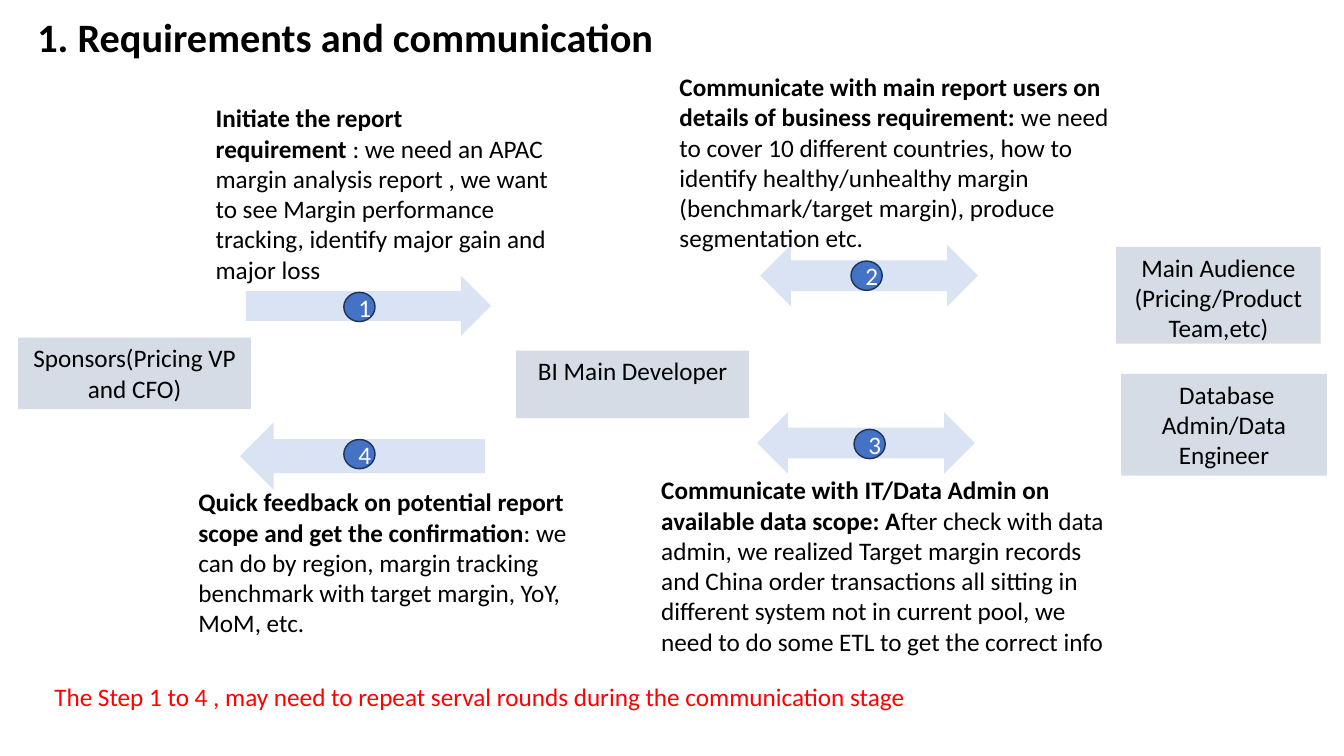
from typing import NamedTuple

from pptx import Presentation
from pptx import util as u
from pptx.dml.color import RGBColor
from pptx.enum import shapes, text

HUES = {"ink": "000000", "white": "FFFFFF", "red": "FF0000", "box": "D6DCE5",
        "arrow": "DAE3F3", "dot": "4472C4", "edge": "1E3256"}
KIND = shapes.MSO_SHAPE
LEFT, MID = text.PP_ALIGN.LEFT, text.PP_ALIGN.CENTER
TOP, HALF = text.MSO_ANCHOR.TOP, text.MSO_ANCHOR.MIDDLE
DOT_W, DOT_H = 0.31, 0.29


class Area(NamedTuple):
    x: float
    y: float
    w: float
    h: float


class Role(NamedTuple):
    area: Area
    label: str


class Step(NamedTuple):
    kind: KIND
    arrow: Area
    turn: int
    dot: tuple[float, float]
    note: Area
    head: str
    body: str


ROLES = [
    Role(Area(0.18, 3.35, 2.31, 0.71), "Sponsors(Pricing VP and CFO)"),
    Role(Area(5.12, 3.48, 2.31, 0.67), "BI Main Developer"),
    Role(Area(11.07, 2.45, 2.03, 0.96), "Main Audience (Pricing/Product Team,etc)"),
    Role(Area(11.12, 3.71, 2.04, 1.01), " Database Admin/Data Engineer"),
]

STEPS = [
    Step(KIND.RIGHT_ARROW, Area(2.44, 2.74, 2.43, 0.59), 0, (3.41, 2.9),
         Area(2.04, 0.97, 3.52, 1.83),
         "Initiate the report requirement ",
         ": we need an APAC margin analysis report , we want to see Margin "
         "performance tracking, identify major gain and major loss"),
    Step(KIND.LEFT_RIGHT_ARROW, Area(7.54, 2.43, 2.16, 0.61), 0, (8.44, 2.59),
         Area(6.64, 0.66, 4.62, 1.92),
         "Communicate with main report users on details of business requirement: ",
         "we need to cover 10 different countries, how to identify "
         "healthy/unhealthy margin (benchmark/target margin), produce "
         "segmentation etc."),
    Step(KIND.LEFT_RIGHT_ARROW, Area(7.51, 4.09, 2.16, 0.61), 0, (8.47, 4.26),
         Area(6.46, 4.66, 4.62, 1.92),
         "Communicate with IT/Data Admin on available data scope: A",
         "fter check with data admin, we realized Target margin records and "
         "China order transactions all sitting in different system not in "
         "current pool, we need to do some ETL to get the correct info"),
    Step(KIND.RIGHT_ARROW, Area(2.38, 4.19, 2.43, 0.67), 180, (3.41, 4.36),
         Area(1.87, 4.78, 3.86, 1.62),
         "Quick feedback on potential report scope and get the confirmation",
         ": we can do by region, margin tracking benchmark with target margin, "
         "YoY, MoM, etc."),
]


def hue(name: str) -> RGBColor:
    return RGBColor.from_string(HUES[name])


def spots(area: Area) -> list[u.Length]:
    return [u.Inches(v) for v in area]


def write(shape, runs: list[tuple[str, bool]], color: str = "ink",
          align=LEFT, anchor=TOP, size: float = 18) -> None:
    frame = shape.text_frame
    for key, val in {"word_wrap": True, "vertical_anchor": anchor}.items():
        setattr(frame, key, val)
    para = frame.paragraphs[0]
    para.alignment = align
    for words, bold in runs:
        run = para.add_run()
        run.text = words
        style = {"name": "Calibri", "size": u.Pt(size), "bold": bold}
        for key, val in style.items():
            setattr(run.font, key, val)
        run.font.color.rgb = hue(color)


def draw(slide, kind: KIND, area: Area, fill: str, edge: str = ""):
    shape = slide.shapes.add_shape(kind, *spots(area))
    shape.shadow.inherit = False
    shape.fill.solid()
    shape.fill.fore_color.rgb = hue(fill)
    if edge:
        shape.line.color.rgb = hue(edge)
        shape.line.width = u.Pt(1)
    else:
        shape.line.fill.background()
    return shape


def main() -> None:
    deck = Presentation()
    deck.slide_width, deck.slide_height = u.Inches(13.33), u.Inches(7.5)
    slide = deck.slides.add_slide(deck.slide_layouts[5])

    # Title
    title = slide.shapes.title
    place = spots(Area(0.27, 0.12, 12.36, 0.54))
    for key, val in zip(("left", "top", "width", "height"), place):
        setattr(title, key, val)
    write(title, [("1. Requirements and communication", True)],
          anchor=HALF, size=28.8)
    title.text_frame.paragraphs[0].line_spacing = 0.9

    # People taking part
    for role in ROLES:
        box = draw(slide, KIND.RECTANGLE, role.area, "box")
        write(box, [(role.label, False)], align=MID)

    # Arrows and their notes
    for step in STEPS:
        draw(slide, step.kind, step.arrow, "arrow").rotation = step.turn
        note = slide.shapes.add_textbox(*spots(step.note))
        write(note, [(step.head, True), (step.body, False)])

    # Step numbers
    for num, step in enumerate(STEPS, 1):
        dot = draw(slide, KIND.FLOWCHART_CONNECTOR,
                   Area(*step.dot, DOT_W, DOT_H), "dot", "edge")
        write(dot, [(str(num), False)], "white", MID, HALF)

    # Closing remark
    foot = slide.shapes.add_textbox(*spots(Area(0.44, 6.71, 10.67, 0.4)))
    write(foot, [("The Step 1 to 4 , may need to repeat serval rounds during "
                  "the communication stage", False)], "red")

    deck.save("out.pptx")


if __name__ == "__main__":
    main()
